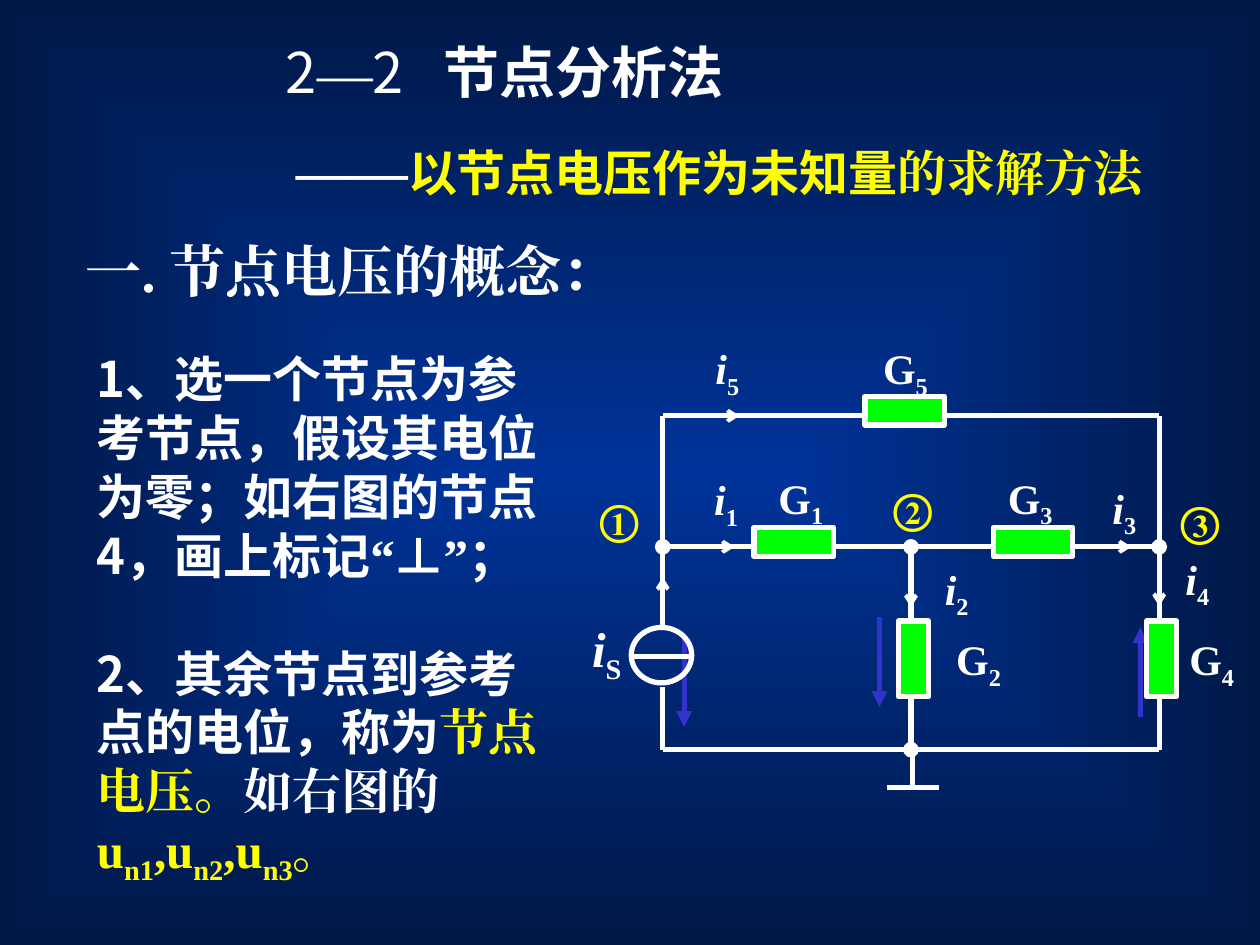
import pptx
import pptx.util
import pptx.dml.color
import pptx.enum.shapes
import pptx.enum.text
import pptx.oxml.ns
from lxml import etree

WIDE, HIGH = pptx.util.Inches(10), pptx.util.Inches(7.5)
CELL = WIDE / 100  # grid of 100 columns by 75 rows
INK = {"white": "FFFFFF", "gold": "FFFF00", "green": "00FF00",
       "violet": "3333CC", "blue": "003399", "navy": "001847"}
ROMAN, SANS = "Times New Roman", "Noto Sans CJK SC"
KIND = pptx.enum.shapes.MSO_SHAPE
LEFT, MID, RIGHT = 52.6, 72.3, 92  # columns of the circuit
TOP, NODE, BASE = 33, 43.4, 59.5  # rows of the circuit


def color(name):
    return pptx.dml.color.RGBColor.from_string(INK[name])


def cells(*sizes):
    return [round(size * CELL) for size in sizes]


def add(owner, tag, **attrs):
    node = etree.SubElement(owner, pptx.oxml.ns.qn(tag))
    for key, value in attrs.items():
        node.set(key, value)
    return node


def paint(slide):
    """Fill the background with a gradient that spreads from the centre."""
    fill = slide.background.fill
    fill.gradient()
    for stop, name in zip(fill.gradient_stops, ("blue", "navy")):
        stop.color.rgb = color(name)
    grad = slide._element.xpath(".//a:gradFill")[0]
    grad.remove(grad.find(pptx.oxml.ns.qn("a:lin")))
    ring = add(grad, "a:path", path="shape")
    add(ring, "a:fillToRect", l="50000", t="50000", r="50000", b="50000")


def write(para, parts, size):
    """Each part: text, font, colour, then style letters b, i, s (sub)."""
    for text, face, ink, style in parts:
        run = para.add_run()
        run.text = text
        font = run.font
        font.size = pptx.util.Pt(size)
        font.name = face
        font.bold, font.italic = "b" in style, "i" in style
        font.color.rgb = color(ink)
        add(font._element, "a:ea", typeface=face)
        if "s" in style:
            font._element.set("baseline", "-25000")


def text(slide, box, size, *paras, wrap=True):
    frame = slide.shapes.add_textbox(*cells(*box)).text_frame
    frame.word_wrap = wrap
    for num, parts in enumerate(paras):
        para = frame.add_paragraph() if num else frame.paragraphs[0]
        write(para, parts, size)
    return frame


def label(slide, left, top, name, sub="", ink="white", size=24):
    style = "bi" if name == "i" else "b"
    parts = [(name, ROMAN, ink, style)]
    if sub:
        parts.append((sub, ROMAN, ink, "bs"))
    text(slide, (left, top, 5.8, 5), size, parts, wrap=False)


def line(slide, ends, ink="white", width=3, head=None, tail=None):
    wire = slide.shapes.add_connector(
        pptx.enum.shapes.MSO_CONNECTOR.STRAIGHT, *cells(*ends))
    wire.line.color.rgb = color(ink)
    wire.line.width = pptx.util.Pt(width)
    stroke = wire.line._get_or_add_ln()
    if head:
        add(stroke, "a:headEnd", type=head)
    if tail:
        add(stroke, "a:tailEnd", type=tail)
    add(wire._element.spPr, "a:effectLst")


def part(slide, kind, x, y, width, height, fill=None):
    """Draw a circuit part centred on x, y."""
    box = cells(x - width / 2, y - height / 2, width, height)
    shape = slide.shapes.add_shape(kind, *box)
    shape.shadow.inherit = False
    if fill:
        shape.fill.solid()
        shape.fill.fore_color.rgb = color(fill)
    else:
        shape.fill.background()
    shape.line.color.rgb = color("white")
    shape.line.width = pptx.util.Pt(3)


def words(slide):
    # Headings
    text(slide, (22.5, 10.3, 70.8, 6.3), 28, [])
    slide.shapes[-1]._element.getparent().remove(slide.shapes[-1]._element)
    sub = text(slide, (22.5, 10.3, 70.8, 6.3), 28, [
        ("——", ROMAN, "white", "b"),
        ("以节点电压作为未知量", SANS, "gold", "b"),
        ("的求解方法", ROMAN, "gold", "b")])
    sub.paragraphs[0].runs[0].font.size = pptx.util.Pt(32)
    text(slide, (5.8, 18.3, 50.8, 7.5), 32,
         [("一. 节点电压的概念：", ROMAN, "white", "b")])
    title = text(slide, (21.7, 2.5, 48.3, 6.3), 32, [
        ("2", SANS, "white", ""), ("—", ROMAN, "white", ""),
        ("2\t", SANS, "white", ""), ("节点分析法", SANS, "white", "b")])
    tabs = add(title.paragraphs[0]._p.get_or_add_pPr(), "a:tabLst")
    add(tabs, "a:tab", pos=str(cells(12.5)[0]), algn="l")

    # Explanation
    volts = [(piece, ROMAN, "gold", style)
             for num, lead in zip("123", ("u", ",u", ",u"))
             for piece, style in ((lead, "b"), ("n" + num, "bs"))]
    body = text(slide, (6.7, 27.2, 37.5, 43), 28, [
        ("1、选一个节点为参考节点，假设其电位为零；如右图的节点4，画上标记",
         SANS, "white", "b"),
        ("“", ROMAN, "white", "b"), ("⊥", SANS, "white", "b"),
        ("”", ROMAN, "white", "b"), ("；", SANS, "white", "b")], [
        ("2、其余节点到参考点的电位，称为", SANS, "white", "b"),
        ("节点电压。", ROMAN, "gold", "b"),
        ("如右图的", ROMAN, "white", "b"),
        *volts, ("。", ROMAN, "gold", "b")])
    body.paragraphs[1].space_before = pptx.util.Pt(33.6)


def wires(slide):
    for ends in ((LEFT, BASE, LEFT, 54.5), (LEFT, BASE, RIGHT, BASE),
                 (RIGHT, BASE, RIGHT, TOP), (LEFT, TOP, RIGHT, TOP),
                 (LEFT, 49.8, LEFT, TOP)):
        line(slide, ends)
    # Wires with node dots
    for ends in ((LEFT, NODE, RIGHT, NODE), (MID, NODE, MID, BASE)):
        line(slide, ends, head="oval", tail="oval")
    # Ground mark
    line(slide, (72.4, BASE, 72.4, 62.5))
    line(slide, (70.4, 62.5, 74.5, 62.5))


def parts(slide):
    # Voltage arrows
    for x, start, end in ((69.8, 49, 56.1), (54.3, 50.6, 57.7),
                          (90.5, 56.9, 49.8)):
        line(slide, (x, start, x, end), "violet", tail="triangle")
    # Resistors
    for x, y in ((63, 43), (82, 43), (71.8, 32.6)):
        part(slide, KIND.RECTANGLE, x, y, 6.3, 2.3, "green")
    for x in (72.5, 92.2):
        part(slide, KIND.RECTANGLE, x, 52.3, 2.4, 6, "green")
    # Current source
    part(slide, KIND.OVAL, 52.5, 52, 4.8, 4.4)
    line(slide, (50.1, 52.1, 55.1, 52.1))
    # Current arrows
    for x, y in ((55, NODE), (86.5, NODE), (55.4, TOP)):
        line(slide, (x, y, x + 3.3, y), width=2.25, tail="arrow")
    for x, y, rise in ((LEFT, 49, -3.2), (MID, 45, 3.2), (RIGHT, 44.9, 3.2)):
        line(slide, (x, y, x, y + rise), width=2.25, tail="arrow")


def labels(slide):
    for sub, x, y in (("1", 60.8, 37), ("2", 74.9, 49.8), ("3", 79, 37),
                      ("4", 93.4, 49.8), ("5", 69.1, 26.7)):
        label(slide, x, y, "G", sub)
    for sub, x, y in (("1", 55.7, 37.1), ("2", 74, 44.2), ("3", 87.3, 37.8),
                      ("4", 93.1, 43.4), ("5", 55.8, 26.7)):
        label(slide, x, y, "i", sub)
    label(slide, 46, 48.6, "i", "S", size=28)
    for mark, x, y in (("①", 46.6, 38.7), ("②", 69.9, 37.8),
                       ("③", 92.7, 38.8)):
        label(slide, x, y, mark, ink="gold")


def main():
    deck = pptx.Presentation()
    deck.slide_width, deck.slide_height = WIDE, HIGH
    slide = deck.slides.add_slide(deck.slide_layouts[6])
    paint(slide)
    words(slide)
    wires(slide)
    parts(slide)
    labels(slide)
    deck.save("out.pptx")


if __name__ == "__main__":
    main()
